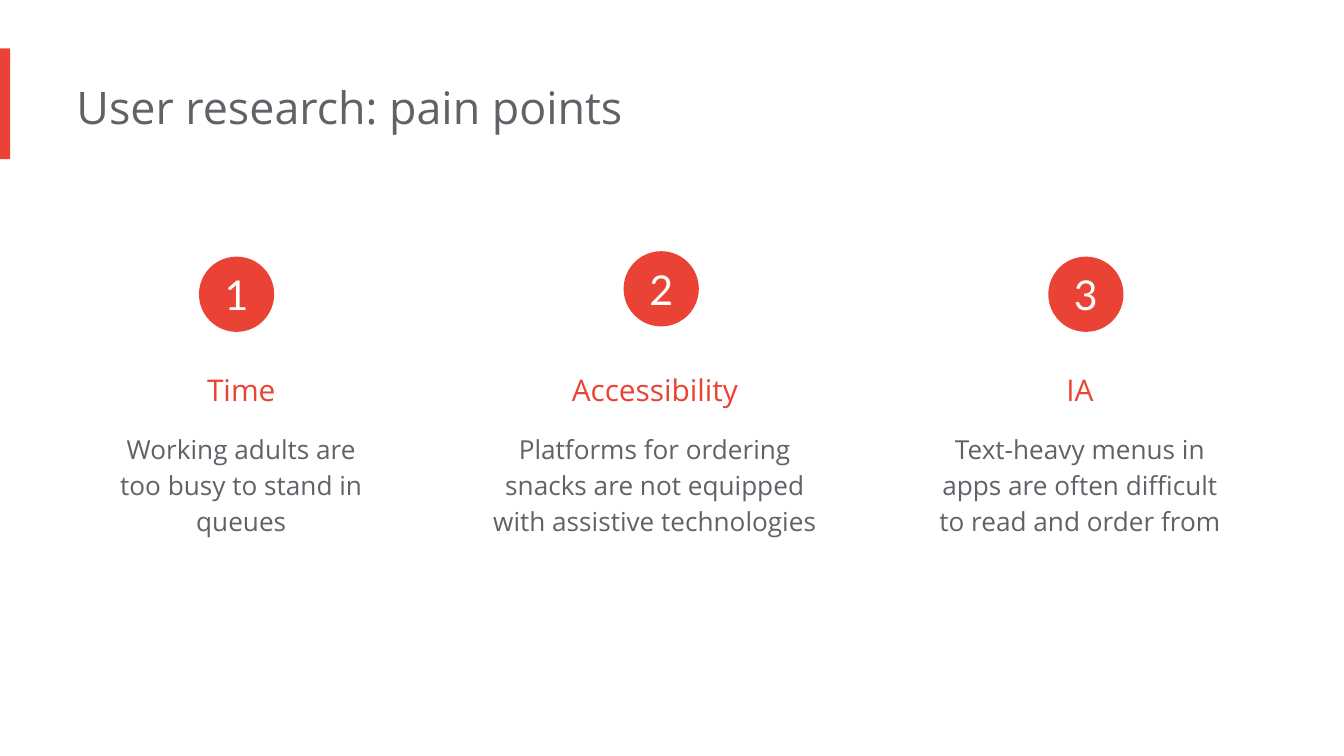
from pptx import Presentation
from pptx.dml.color import RGBColor
from pptx.enum import shapes, text
from pptx.util import Pt

COLORS = {"accent": "EA4335", "body": "5F6368", "white": "FFFFFF"}
BODY_FONT = "Open Sans"
NUMBER_FONT = "Lato"

BADGE_SIZE = 40.3
FIRST_BADGE_LEFT = 106.6
BADGE_STEP = 227.5
HEADING_WIDTH = 147.6

# heading, description, column centre, description width, badge top
PAIN_POINTS = [
    ("Time", "Working adults are too busy to stand in queues",
     132.8, 147.6, 137.5),
    ("Accessibility",
     "Platforms for ordering snacks are not equipped with assistive technologies",
     354.4, 194.4, 134.6),
    ("IA", "Text-heavy menus in apps are often difficult to read and order from",
     582.1, 159.1, 137.5),
]


def rgb(name):
    return RGBColor.from_string(COLORS[name])


def set_margins(frame, left, others):
    frame.margin_left = Pt(left)
    frame.margin_top = frame.margin_right = frame.margin_bottom = Pt(others)


def add_run(paragraph, content, size, font, color):
    run = paragraph.add_run()
    run.text = content
    run.font.size = Pt(size)
    run.font.name = font
    run.font.color.rgb = rgb(color)


def add_text(slide, box, content, size, color, align=text.PP_ALIGN.LEFT, spacing=1.0):
    frame = slide.shapes.add_textbox(*map(Pt, box)).text_frame
    frame.word_wrap = True
    frame.auto_size = text.MSO_AUTO_SIZE.SHAPE_TO_FIT_TEXT
    set_margins(frame, 0, 7.2)
    paragraph = frame.paragraphs[0]
    paragraph.alignment = align
    paragraph.line_spacing = spacing
    add_run(paragraph, content, size, BODY_FONT, color)


def add_accent_shape(slide, kind, box):
    shape = slide.shapes.add_shape(kind, *map(Pt, box))
    shape.shadow.inherit = False
    shape.fill.solid()
    shape.fill.fore_color.rgb = rgb("accent")
    shape.line.fill.background()
    return shape


def add_badge(slide, number, left, top):
    badge = add_accent_shape(slide, shapes.MSO_SHAPE.OVAL,
                             (left, top, BADGE_SIZE, BADGE_SIZE))
    frame = badge.text_frame
    frame.vertical_anchor = text.MSO_ANCHOR.MIDDLE
    set_margins(frame, 0, 0)
    paragraph = frame.paragraphs[0]
    paragraph.alignment = text.PP_ALIGN.CENTER
    add_run(paragraph, str(number), 22, NUMBER_FONT, "white")


def add_pain_point(slide, index, heading, description, center, width, badge_top):
    """Add one column: heading, description and numbered badge."""
    centered = text.PP_ALIGN.CENTER
    add_text(slide, (center - HEADING_WIDTH / 2, 182.2, HEADING_WIDTH, 33.8),
             heading, 16, "accent", centered, 1.5)
    add_text(slide, (center - width / 2, 222.5, width, 72.7),
             description, 14, "body", centered, 1.15)
    add_badge(slide, index + 1, FIRST_BADGE_LEFT + index * BADGE_STEP, badge_top)


def main():
    deck = Presentation()
    deck.slide_width, deck.slide_height = Pt(720), Pt(405)
    slide = deck.slides.add_slide(deck.slide_layouts[6])

    add_accent_shape(slide, shapes.MSO_SHAPE.RECTANGLE, (0, 26, 5.5, 59.3))
    add_text(slide, (41, 35.3, 484.6, 44), "User research: pain points", 24, "body")
    for index, pain_point in enumerate(PAIN_POINTS):
        add_pain_point(slide, index, *pain_point)

    deck.save("out.pptx")


if __name__ == "__main__":
    main()
